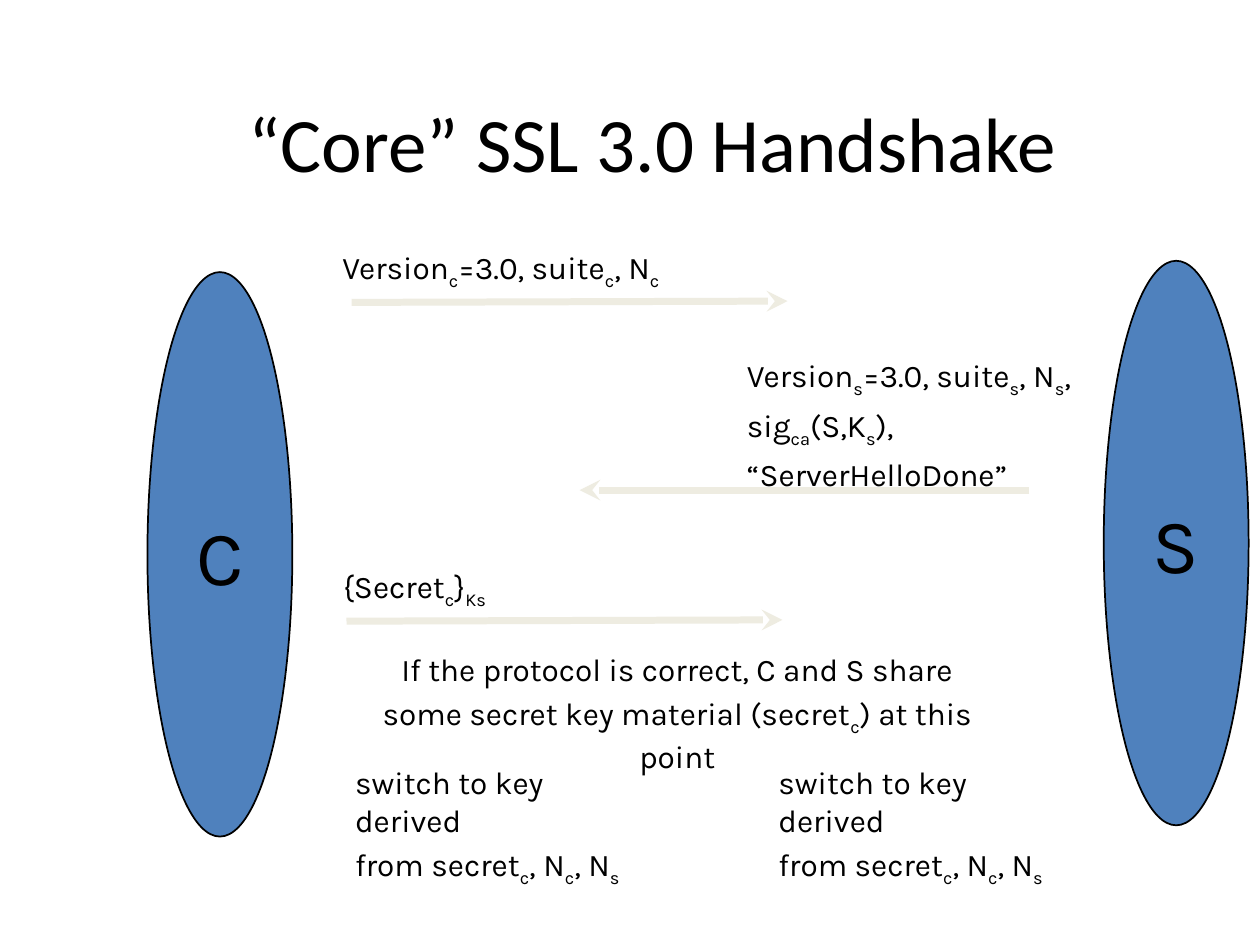
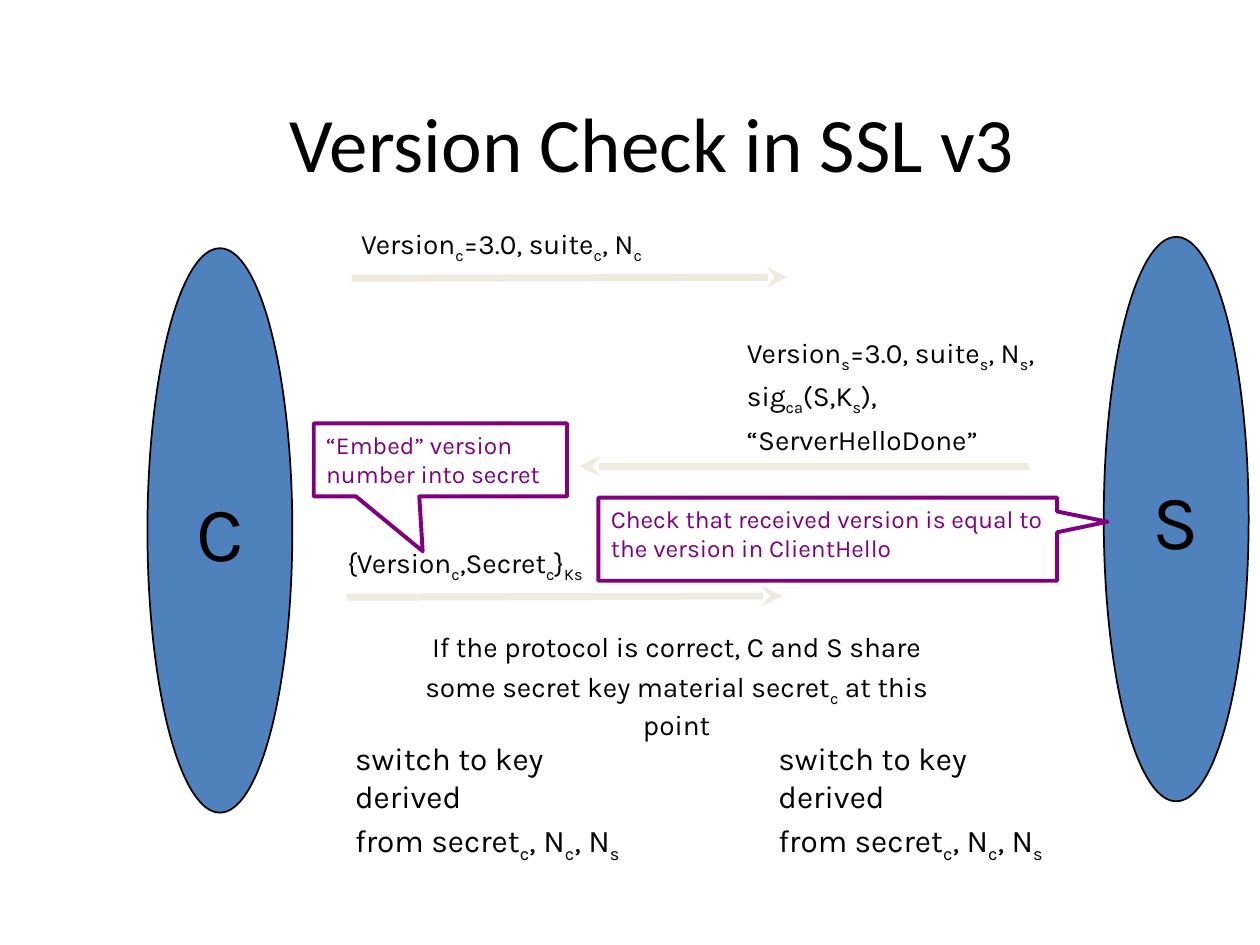
from dataclasses import dataclass

from lxml import etree
from pptx import Presentation
from pptx.dml.color import RGBColor
from pptx.enum.shapes import MSO_CONNECTOR, MSO_SHAPE
from pptx.enum.text import MSO_ANCHOR, MSO_AUTO_SIZE, PP_ALIGN
from pptx.oxml.ns import qn
from pptx.util import Inches, Pt

LEFT, CENTER = PP_ALIGN.LEFT, PP_ALIGN.CENTER
TOP, MIDDLE = MSO_ANCHOR.TOP, MSO_ANCHOR.MIDDLE
GROW = MSO_AUTO_SIZE.SHAPE_TO_FIT_TEXT
STRAIGHT = MSO_CONNECTOR.STRAIGHT
OVAL, CALLOUT = MSO_SHAPE.OVAL, MSO_SHAPE.RECTANGULAR_CALLOUT

COLORS = {"text": "000000", "party": "4F81BD", "arrow": "EEECE1", "note": "800080"}
TITLE_FONT, BODY_FONT = "Calibri", "Karla"
SUBSCRIPT = "~"


@dataclass
class Party:
    name: str
    x: float
    y: float


@dataclass
class Arrow:
    x1: float
    y1: float
    x2: float
    y2: float


@dataclass
class Label:
    lines: list[str]
    x: float
    y: float
    w: float
    h: float
    size: int = 18
    align: PP_ALIGN = LEFT


@dataclass
class Note:
    text: str
    x: float
    y: float
    w: float
    h: float
    tip: tuple[float, float]


@dataclass
class Handshake:
    title: str
    lift: float
    labels: list[Label]
    notes: list[Note]


PARTIES = [Party("C", 1.17, 2.16), Party("S", 8.76, 2.07)]
ARROWS = [
    Arrow(2.79, 2.4, 6.25, 2.39),
    Arrow(8.17, 3.89, 4.6, 3.89),
    Arrow(2.75, 4.93, 6.21, 4.92),
]
SWITCH_LINES = ["switch to key derived", "from secret~c~, N~c~, N~s~"]
SWITCHES = [Label(SWITCH_LINES, x, 6.01, 2.54, 0.76) for x in (2.72, 6.08)]
CLIENT_HELLO = ["Version~c~=3.0, suite~c~, N~c~"]
SERVER_HELLO = [
    "Version~s~=3.0, suite~s~, N~s~,",
    "sig~ca~(S,K~s~),",
    "“ServerHelloDone”",
]
OUTCOME = "If the protocol is correct, C and S share"

HANDSHAKES = [
    Handshake(
        "“Core” SSL 3.0 Handshake",
        0,
        [
            Label(SERVER_HELLO, 5.83, 2.78, 2.85, 1.12),
            Label(CLIENT_HELLO, 2.58, 1.92, 2.79, 0.4, align=CENTER),
            Label(["{Secret~c~}~Ks~"], 2.6, 4.45, 1.38, 0.4, align=CENTER),
            Label([OUTCOME, "some secret key material (secret~c~) at this point"],
                  2.69, 5.11, 5.37, 0.76, align=CENTER),
        ],
        [],
    ),
    Handshake(
        "Version Check in SSL v3",
        0.19,
        [
            Label(SERVER_HELLO, 5.83, 2.61, 2.55, 1.01, 16),
            Label(CLIENT_HELLO, 2.72, 1.75, 2.52, 0.37, 16, CENTER),
            Label(["{Version~c~,Secret~c~}~Ks~"], 2.63, 4.28, 2.12, 0.37, 16, CENTER),
            Label([OUTCOME, "some secret key material secret~c~ at this point"],
                  3.06, 4.95, 4.62, 0.69, 16, CENTER),
        ],
        [
            Note("“Embed” version number into secret",
                 2.49, 3.36, 2.01, 0.58, (-0.07, 1.25)),
            Note("Check that received version is equal to the version in ClientHello",
                 4.75, 3.95, 3.64, 0.66, (0.61, -0.21)),
        ],
    ),
]


def rgb(name: str) -> RGBColor:
    return RGBColor.from_string(COLORS[name])


def write(tf, lines: list[str], size: int, align=LEFT, anchor=TOP,
          font: str = BODY_FONT, color: str = "text") -> None:
    tf.word_wrap = True
    tf.vertical_anchor = anchor
    for i, line in enumerate(lines):
        p = tf.add_paragraph() if i else tf.paragraphs[0]
        p.alignment = align
        if i:
            p.space_before = Pt(0.2 * size)
        p.font.name = font
        p.font.size = Pt(size)
        p.font.color.rgb = rgb(color)
        for j, part in enumerate(line.split(SUBSCRIPT)):
            if part:
                r = p.add_run()
                r.text = part
                if j % 2:
                    r._r.get_or_add_rPr().set("baseline", "-25000")


def add_box(s, x: float, y: float, w: float, h: float):
    return s.shapes.add_textbox(Inches(x), Inches(y), Inches(w), Inches(h))


def add_outlined(s, kind, x: float, y: float, w: float, h: float,
                 line: str, width: float):
    sp = s.shapes.add_shape(kind, Inches(x), Inches(y), Inches(w), Inches(h))
    sp.shadow.inherit = False
    sp.line.color.rgb = rgb(line)
    sp.line.width = Pt(width)
    return sp


def draw_title(s, title: str) -> None:
    tf = add_box(s, 1.08, 0.5, 8.2, 1.25).text_frame
    write(tf, [title], 44, CENTER, MIDDLE, TITLE_FONT)


def draw_party(s, party: Party, lift: float) -> None:
    sp = add_outlined(s, OVAL, party.x, party.y - lift, 1.15, 4.48, "text", 1)
    sp.fill.solid()
    sp.fill.fore_color.rgb = rgb("party")
    write(sp.text_frame, [party.name], 44, CENTER, MIDDLE)


def draw_arrow(s, arrow: Arrow, lift: float) -> None:
    c = s.shapes.add_connector(STRAIGHT, Inches(arrow.x1), Inches(arrow.y1 - lift),
                               Inches(arrow.x2), Inches(arrow.y2 - lift))
    c.line.color.rgb = rgb("arrow")
    c.line.width = Pt(4)
    etree.SubElement(c.line._get_or_add_ln(), qn("a:tailEnd"), type="stealth")
    etree.SubElement(c._element.spPr, qn("a:effectLst"))


def draw_label(s, label: Label, lift: float = 0) -> None:
    tf = add_box(s, label.x, label.y - lift, label.w, label.h).text_frame
    write(tf, label.lines, label.size, label.align)
    tf.auto_size = GROW


def draw_note(s, note: Note) -> None:
    sp = add_outlined(s, CALLOUT, note.x, note.y, note.w, note.h, "note", 2.25)
    sp.fill.background()
    sp.adjustments[0], sp.adjustments[1] = note.tip
    write(sp.text_frame, [note.text], 14, color="note")


def draw_handshake(prs, handshake: Handshake) -> None:
    s = prs.slides.add_slide(prs.slide_layouts[6])
    draw_title(s, handshake.title)
    for party in PARTIES:
        draw_party(s, party, handshake.lift)
    for arrow in ARROWS:
        draw_arrow(s, arrow, handshake.lift)
    for label in handshake.labels:
        draw_label(s, label)
    for note in handshake.notes:
        draw_note(s, note)
    for switch in SWITCHES:
        draw_label(s, switch, handshake.lift)


def main() -> None:
    prs = Presentation()
    prs.slide_width, prs.slide_height = Inches(10), Inches(7.5)
    for handshake in HANDSHAKES:
        draw_handshake(prs, handshake)
    prs.save("out.pptx")


if __name__ == "__main__":
    main()
